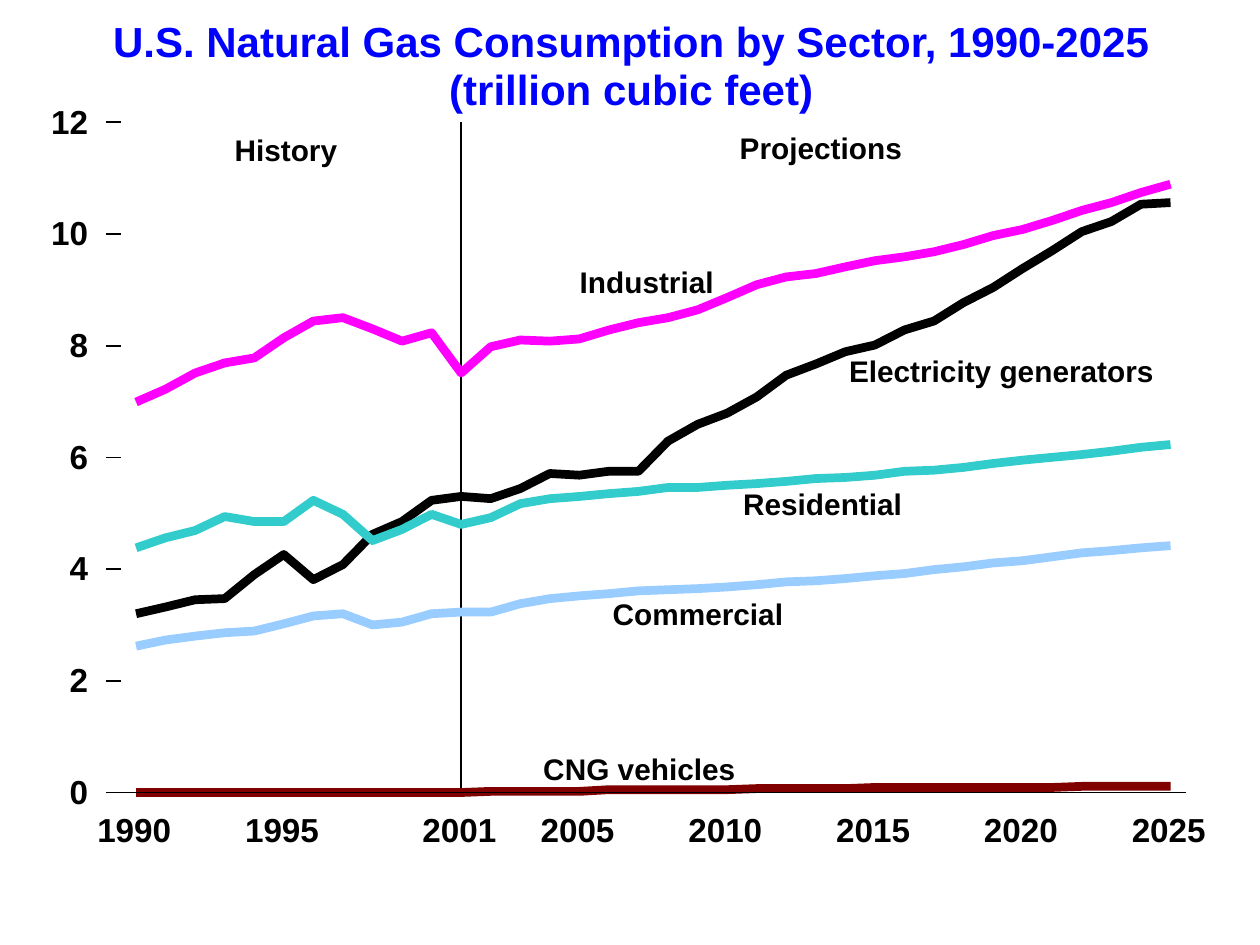
from dataclasses import dataclass

from lxml.etree import SubElement
from pptx import Presentation
from pptx.dml.color import RGBColor
from pptx.enum.shapes import MSO_CONNECTOR
from pptx.enum.text import MSO_AUTO_SIZE, PP_ALIGN
from pptx.oxml.ns import qn
from pptx.util import Inches, Pt

BLACK = RGBColor(0x00, 0x00, 0x00)
BLUE = RGBColor(0x00, 0x00, 0xFF)
MAROON = RGBColor(0x80, 0x00, 0x00)
MAGENTA = RGBColor(0xFF, 0x00, 0xFF)
SKY = RGBColor(0x99, 0xCC, 0xFF)
TEAL = RGBColor(0x33, 0xCC, 0xCC)

# Plot grid in inches: one column a year, one row a trillion cubic feet
SLIDE_WIDTH, SLIDE_HEIGHT = 10, 7.5
FIRST_YEAR, LAST_YEAR, TOP_VALUE = 1990, 2025, 12
PLOT_LEFT, PLOT_RIGHT = 1.08, 9.29
PLOT_TOP, PLOT_BOTTOM = 0.97, 6.29
AXIS_LEFT, AXIS_RIGHT, TICK_LEFT = 0.96, 9.41, 0.84
YEAR_STEP = (PLOT_RIGHT - PLOT_LEFT) / (LAST_YEAR - FIRST_YEAR)
VALUE_STEP = (PLOT_BOTTOM - PLOT_TOP) / TOP_VALUE


@dataclass(frozen=True)
class Sector:
    color: RGBColor
    consumption: list[float]


@dataclass(frozen=True)
class Label:
    text: str
    year: float   # centre on the year axis
    value: float  # centre on the value axis
    width: float


SECTORS = [
    # CNG vehicles
    Sector(MAROON, [0] * 12 + [0.02] * 4 + [0.05] * 5 + [0.07] * 4
           + [0.09] * 7 + [0.11] * 4),
    # Electricity generators
    Sector(BLACK, [
        3.20, 3.32, 3.45, 3.47, 3.90, 4.26, 3.81, 4.08, 4.62, 4.85, 5.23, 5.30,
        5.26, 5.44, 5.71, 5.68, 5.75, 5.75, 6.29, 6.59, 6.79, 7.08, 7.47, 7.67,
        7.89, 8.01, 8.28, 8.44, 8.77, 9.04, 9.38, 9.70, 10.04, 10.22, 10.53, 10.56]),
    # Industrial
    Sector(MAGENTA, [
        6.99, 7.22, 7.51, 7.69, 7.78, 8.14, 8.44, 8.50, 8.30, 8.08, 8.23, 7.51,
        7.98, 8.10, 8.08, 8.12, 8.28, 8.41, 8.50, 8.64, 8.86, 9.09, 9.23, 9.29,
        9.41, 9.52, 9.59, 9.68, 9.81, 9.97, 10.08, 10.24, 10.42, 10.56, 10.74, 10.89]),
    # Commercial
    Sector(SKY, [
        2.62, 2.73, 2.80, 2.86, 2.89, 3.02, 3.16, 3.20, 3.00, 3.05, 3.20, 3.23,
        3.23, 3.38, 3.47, 3.52, 3.56, 3.61, 3.63, 3.65, 3.68, 3.72, 3.77, 3.79,
        3.83, 3.88, 3.92, 3.99, 4.04, 4.11, 4.15, 4.22, 4.29, 4.33, 4.38, 4.42]),
    # Residential
    Sector(TEAL, [
        4.38, 4.56, 4.69, 4.94, 4.85, 4.85, 5.23, 4.98, 4.51, 4.71, 4.98, 4.80,
        4.92, 5.17, 5.26, 5.30, 5.35, 5.39, 5.46, 5.46, 5.50, 5.53, 5.57, 5.62,
        5.64, 5.68, 5.75, 5.77, 5.82, 5.89, 5.95, 6.00, 6.05, 6.11, 6.18, 6.23]),
]

LABELS = [
    Label("Residential", 2013.23, 5.12, 1.3),
    Label("Commercial", 2009.01, 3.16, 1.4),
    Label("Industrial", 2007.28, 9.09, 1.1),
    Label("History", 1995.07, 11.46, 0.85),
    Label("Projections", 2013.17, 11.5, 1.32),
    Label("CNG vehicles", 2007.03, 0.38, 1.56),
    Label("Electricity generators", 2019.28, 7.51, 2.45),
]
AXIS_YEARS = [1990, 1995, 2001, 2005, 2010, 2015, 2020, 2025]
PROJECTION_YEAR = 2001


def year_x(year: float) -> float:
    return PLOT_LEFT + (year - FIRST_YEAR) * YEAR_STEP


def value_y(value: float) -> float:
    return PLOT_BOTTOM - value * VALUE_STEP


def draw_rule(shapes, x1: float, y1: float, x2: float, y2: float) -> None:
    rule = shapes.add_connector(MSO_CONNECTOR.STRAIGHT, Inches(x1), Inches(y1),
                                Inches(x2), Inches(y2))
    rule.line.color.rgb = BLACK
    rule.line.width = Pt(1)
    SubElement(rule._element.spPr, qn("a:effectLst"))


def draw_sector(shapes, sector: Sector) -> None:
    points = [(Inches(year_x(year)), Inches(value_y(value)))
              for year, value in enumerate(sector.consumption, FIRST_YEAR)]
    builder = shapes.build_freeform(*points[0])
    builder.add_line_segments(points[1:], close=False)
    curve = builder.convert_to_shape()
    curve.shadow.inherit = False
    curve.fill.background()
    curve.line.color.rgb = sector.color
    curve.line.width = Pt(5)


def draw_text(shapes, text: str, left: float, top: float, width: float,
              height: float, size: int, color: RGBColor = BLACK,
              align: PP_ALIGN = PP_ALIGN.CENTER, spacing: float = 1.0) -> None:
    box = shapes.add_textbox(Inches(left), Inches(top), Inches(width), Inches(height))
    frame = box.text_frame
    frame.margin_left = frame.margin_right = frame.margin_top = frame.margin_bottom = 0
    frame.word_wrap = False
    frame.auto_size = MSO_AUTO_SIZE.SHAPE_TO_FIT_TEXT
    frame.text = text
    for paragraph in frame.paragraphs:
        paragraph.alignment = align
        paragraph.line_spacing = spacing
        for run in paragraph.runs:
            run.font.name = "Arial"
            run.font.size = Pt(size)
            run.font.bold = True
            run.font.color.rgb = color


def main() -> None:
    deck = Presentation()
    deck.slide_width, deck.slide_height = Inches(SLIDE_WIDTH), Inches(SLIDE_HEIGHT)
    shapes = deck.slides.add_slide(deck.slide_layouts[6]).shapes

    # Divider between history and projections, then the curves
    divider_x = year_x(PROJECTION_YEAR)
    draw_rule(shapes, divider_x, PLOT_TOP, divider_x, PLOT_BOTTOM)
    for sector in SECTORS:
        draw_sector(shapes, sector)

    # Axes
    axis_values = range(0, TOP_VALUE + 1, 2)
    for value in axis_values:
        draw_rule(shapes, TICK_LEFT, value_y(value), AXIS_LEFT, value_y(value))
    draw_rule(shapes, AXIS_LEFT, PLOT_BOTTOM, AXIS_RIGHT, PLOT_BOTTOM)

    # Axis labels
    for year in AXIS_YEARS:
        draw_text(shapes, str(year), year_x(year) - 0.31, 6.42, 0.59, 0.32, 19)
    for value in axis_values:
        width = 0.15 * len(str(value))
        draw_text(shapes, str(value), 0.7 - width, value_y(value) - 0.17,
                  width, 0.32, 19, align=PP_ALIGN.RIGHT)

    # Sector and period labels
    for label in LABELS:
        draw_text(shapes, label.text, year_x(label.year) - label.width / 2,
                  value_y(label.value) - 0.12, label.width, 0.24, 17, spacing=0.85)

    # Title
    draw_text(shapes, "U.S. Natural Gas Consumption by Sector, 1990-2025\n"
              "(trillion cubic feet)", 0.89, 0.15, 8.24, 0.76, 24, BLUE, spacing=0.95)

    deck.save("out.pptx")


if __name__ == "__main__":
    main()
